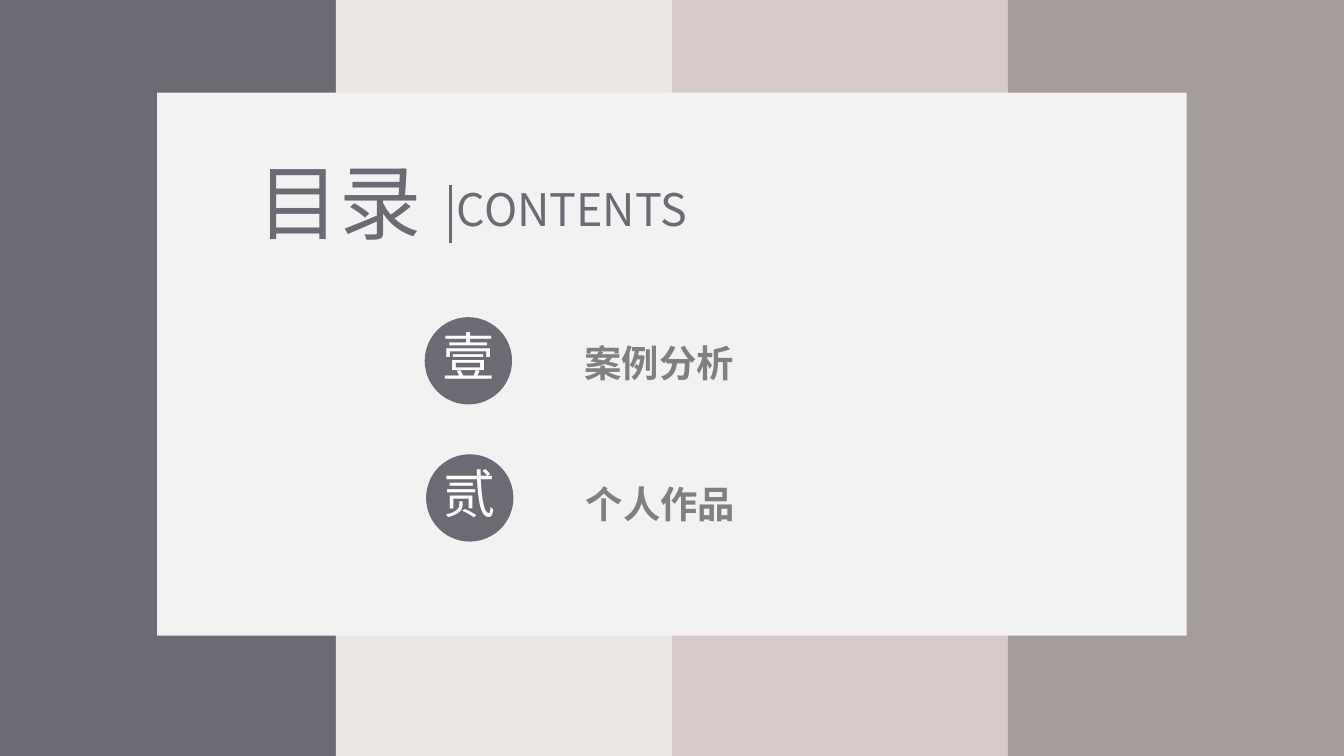
from dataclasses import dataclass
from typing import NamedTuple

from lxml.etree import SubElement
from pptx import Presentation
from pptx.dml.color import RGBColor
from pptx.enum.shapes import MSO_CONNECTOR, MSO_SHAPE as Shape
from pptx.enum.text import MSO_ANCHOR, MSO_AUTO_SIZE, PP_ALIGN as Align
from pptx.oxml.ns import qn
from pptx.util import Emu, Pt

EMU_PER_PX = 4572  # 200 px to the inch
SLIDE_W, SLIDE_H = 2000, 1125
STRIPE_W = SLIDE_W // 4
BADGE = 130


@dataclass(frozen=True)
class Theme:
    font: str = "Noto Sans CJK SC"
    slate: str = "6D6A73"
    cream: str = "ECE7E4"
    rose: str = "D6CBC9"
    taupe: str = "A59D9A"
    panel: str = "F2F2F2"
    label: str = "808080"
    white: str = "FFFFFF"
    title_pt: int = 44
    subtitle_pt: int = 24
    numeral_pt: int = 28
    label_pt: int = 20


class Box(NamedTuple):
    left: int
    top: int
    width: int
    height: int


class Entry(NamedTuple):
    numeral: str
    label: str
    left: int
    top: int
    label_top: int


THEME = Theme()
ENTRIES = (
    Entry("壹", "案例分析", 632, 472, 496),
    Entry("贰", "个人作品", 634, 676, 706),
)


def px(n: int) -> Emu:
    return Emu(n * EMU_PER_PX)


def rgb(color: str) -> RGBColor:
    return RGBColor.from_string(color)


def add_filled(shapes, kind: Shape, box: Box, color: str) -> None:
    sp = shapes.add_shape(kind, *map(px, box))
    sp.shadow.inherit = False
    sp.fill.solid()
    sp.fill.fore_color.rgb = rgb(color)
    sp.line.fill.background()


def write(sp, text: str, size: int, color: str,
          align: Align = Align.CENTER, bold: bool = False) -> None:
    """Put one unwrapped line of text in a text box or placeholder."""
    tf = sp.text_frame
    tf.word_wrap = False
    tf.auto_size = MSO_AUTO_SIZE.SHAPE_TO_FIT_TEXT
    tf.vertical_anchor = MSO_ANCHOR.TOP
    p = tf.paragraphs[0]
    p.alignment = align
    r = p.add_run()
    r.text = text
    r.font.size = Pt(size)
    r.font.bold = bold
    r.font.color.rgb = rgb(color)
    r.font.name = THEME.font
    SubElement(r.font._element, qn("a:ea"), typeface=THEME.font)


def add_stripes(s) -> None:
    shapes = s.shapes.add_group_shape().shapes
    colors = (THEME.slate, THEME.cream, THEME.rose, THEME.taupe)
    for i, color in enumerate(colors):
        add_filled(shapes, Shape.RECTANGLE,
                   Box(i * STRIPE_W, 0, STRIPE_W, SLIDE_H), color)


def add_entry(s, entry: Entry) -> None:
    shapes = s.shapes.add_group_shape().shapes
    add_filled(shapes, Shape.OVAL, Box(entry.left, entry.top, BADGE, BADGE), THEME.slate)
    label = shapes.add_textbox(*map(px, Box(entry.left + 218, entry.label_top, 264, 88)))
    write(label, entry.label, THEME.label_pt, THEME.label, Align.LEFT, bold=True)
    numeral = shapes.add_textbox(*map(px, Box(entry.left + 6, entry.top + 1, 118, 114)))
    write(numeral, entry.numeral, THEME.numeral_pt, THEME.white)


def add_heading(s) -> None:
    title = s.shapes.title
    title.left, title.top, title.width, title.height = map(px, Box(362, 216, 288, 168))
    write(title, "目录", THEME.title_pt, THEME.slate)
    s.shapes._spTree.append(title._element)  # bring in front of the panel

    bar = s.shapes.add_connector(MSO_CONNECTOR.STRAIGHT, *map(px, (670, 276, 670, 362)))
    bar.line.color.rgb = rgb(THEME.slate)
    bar.line.width = Pt(1.5)
    SubElement(bar._element.spPr, qn("a:effectLst"))

    subtitle = s.shapes.add_textbox(*map(px, Box(656, 260, 390, 100)))
    write(subtitle, "CONTENTS", THEME.subtitle_pt, THEME.slate)


def main() -> None:
    prs = Presentation()
    prs.slide_width, prs.slide_height = px(SLIDE_W), px(SLIDE_H)
    s = prs.slides.add_slide(prs.slide_layouts[5])
    add_stripes(s)
    add_filled(s.shapes, Shape.RECTANGLE, Box(234, 138, 1532, 808), THEME.panel)
    for entry in ENTRIES:
        add_entry(s, entry)
    add_heading(s)
    prs.save("out.pptx")


if __name__ == "__main__":
    main()
